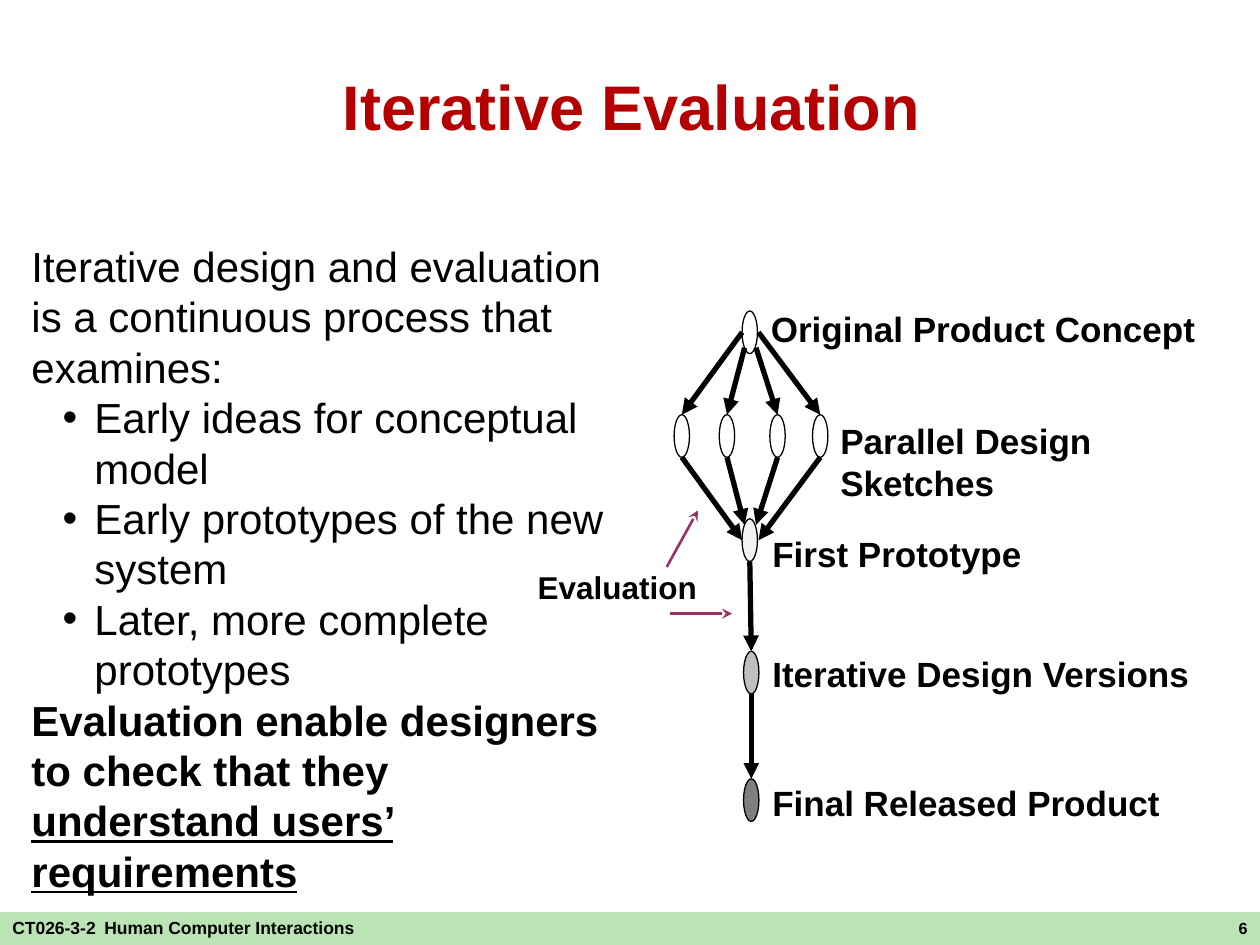
"""Build the Iterative Evaluation slide."""
from dataclasses import dataclass

import lxml.etree
import pptx
import pptx.dml.color
import pptx.enum.shapes
import pptx.enum.text
import pptx.oxml.ns
import pptx.util
from pptx.util import Cm, Pt

BLACK = "000000"
PURPLE = "993366"
NODE_WIDTH, NODE_HEIGHT = 0.31, 0.86
ALIGN = pptx.enum.text.PP_ALIGN
ANCHOR = pptx.enum.text.MSO_ANCHOR
SHAPES = pptx.enum.shapes.MSO_SHAPE


@dataclass
class Node:
    left: float
    top: float
    opacity: int = 0

    @property
    def center(self) -> float:
        return self.left + NODE_WIDTH / 2

    @property
    def bottom(self) -> float:
        return self.top + NODE_HEIGHT


@dataclass
class Label:
    text: str
    left: float
    top: float
    width: float
    height: float = 1.12
    size: float = 20
    wrap: bool = False
    align: ALIGN = ALIGN.LEFT


@dataclass
class Line:
    spans: tuple
    bullet: bool = False
    bold: bool = False


CONCEPT = Node(14.96, 6.27)
SKETCHES = [Node(left, 8.36) for left in (13.59, 14.5, 15.52, 16.38)]
VERSIONS = [Node(14.96, 10.46, 5), Node(14.99, 13.13, 25), Node(14.99, 15.7, 50)]
FAN = [(0, 0.43), (0.05, 0.74), (0.28, 0.74), (0.33, 0.43)]
LABELS = [
    Label("Original Product Concept", 15.29, 6.07, 9.07),
    Label("Parallel Design Sketches", 16.69, 8.33, 8.86),
    Label("First Prototype", 15.32, 10.62, 5.54),
    Label("Iterative Design Versions", 15.32, 13.03, 8.94),
    Label("Final Released Product", 15.32, 15.62, 8.33),
    Label("Evaluation", 10.59, 11.33, 3.71, 1.02, 18),
    Label("6", 17.35, 18.39, 8.05, 0.66, 9.2, True, ALIGN.RIGHT),
]
LINES = [
    Line(("Iterative design and evaluation is a continuous process that examines:",)),
    Line(("Early ideas for conceptual model",), bullet=True),
    Line(("Early prototypes of the new system",), bullet=True),
    Line(("Later, more complete prototypes",), bullet=True),
    Line(("Evaluation enable designers to check that they ",
          "understand users’ requirements"), bold=True),
]


def color(value: str) -> pptx.dml.color.RGBColor:
    return pptx.dml.color.RGBColor.from_string(value)


def add_element(parent, tag: str, **attributes: str):
    element = lxml.etree.SubElement(parent, pptx.oxml.ns.qn(tag))
    for name, value in attributes.items():
        element.set(name, value)
    return element


def format_span(span, size: float, bold: bool, hue: str = BLACK) -> None:
    span.font.name = "Arial"
    span.font.size = Pt(size)
    span.font.bold = bold
    span.font.color.rgb = color(hue)


def place(shape, left: float, top: float, width: float, height: float) -> None:
    shape.left, shape.top = Cm(left), Cm(top)
    shape.width, shape.height = Cm(width), Cm(height)


def draw_label(page, label: Label):
    box = page.shapes.add_textbox(
        Cm(label.left), Cm(label.top), Cm(label.width), Cm(label.height))
    box.text_frame.word_wrap = label.wrap
    box.text_frame.text = label.text
    para = box.text_frame.paragraphs[0]
    para.alignment = label.align
    format_span(para.runs[0], label.size, True)
    return para


def draw_node(page, node: Node):
    shape = page.shapes.add_shape(
        SHAPES.OVAL, Cm(node.left), Cm(node.top), Cm(NODE_WIDTH), Cm(NODE_HEIGHT))
    shape.shadow.inherit = False
    shape.line.color.rgb = color(BLACK)
    shape.line.width = Pt(0.75)
    if node.opacity:
        shape.fill.solid()
        shape.fill.fore_color.rgb = color(BLACK)
        tone = shape.fill._xPr.find(".//" + pptx.oxml.ns.qn("a:srgbClr"))
        add_element(tone, "a:alpha", val=str(node.opacity * 1000))
    else:
        shape.fill.background()
    return shape


def draw_arrow(page, start: tuple, end: tuple, hue: str = BLACK,
               width: float = 3, head: str = "triangle"):
    arrow = page.shapes.add_connector(
        pptx.enum.shapes.MSO_CONNECTOR.STRAIGHT, *map(Cm, start + end))
    arrow.line.color.rgb = color(hue)
    arrow.line.width = Pt(width)
    add_element(arrow.line._get_or_add_ln(), "a:tailEnd", type=head)
    add_element(arrow._element.spPr, "a:effectLst")
    return arrow


def draw_title(page) -> None:
    title = page.shapes.title
    place(title, 1.3, 0.53, 22.86, 3.18)
    title.text_frame.text = "Iterative Evaluation"
    title.text_frame.vertical_anchor = ANCHOR.MIDDLE
    para = title.text_frame.paragraphs[0]
    para.alignment = ALIGN.CENTER
    format_span(para.runs[0], 36, True, "B40000")


def draw_body(page) -> None:
    body = page.placeholders[1]
    place(body, 0.38, 4.72, 12.55, 13.46)
    frame = body.text_frame
    frame.auto_size = pptx.enum.text.MSO_AUTO_SIZE.NONE
    frame.vertical_anchor = ANCHOR.TOP
    frame.text = "\n".join("".join(line.spans) for line in LINES)
    for para, line in zip(frame.paragraphs, LINES):
        para.level = int(line.bullet)
        properties = para._p.get_or_add_pPr()
        properties.set("marL", str(Cm(1.27) if line.bullet else 0))
        properties.set("indent", str(Cm(-0.64) if line.bullet else 0))
        if line.bullet:
            add_element(properties, "a:buFont", typeface="Arial")
            add_element(properties, "a:buChar", char="•")
        else:
            add_element(properties, "a:buNone")
        para.space_before = Pt(0)
        para.line_spacing = Pt(28.8)
        para.runs[0].text = line.spans[0]
        for text in line.spans[1:]:
            span = para.add_run()
            span.text = text
            span.font.underline = True
        for span in para.runs:
            format_span(span, 24, line.bold)


def draw_footer(page) -> None:
    bar = page.shapes.add_shape(SHAPES.RECTANGLE, Cm(0), Cm(18.39), Cm(25.4), Cm(0.66))
    bar.shadow.inherit = False
    bar.fill.solid()
    bar.fill.fore_color.rgb = color("BAE4B4")
    bar.line.fill.background()
    para = draw_label(page, Label("CT026-3-2", 0, 18.08, 9.42, 0.71, 10, True))
    for text, size, bold in ((" ", 18, False), ("Human Computer Interactions", 10, True)):
        span = para.add_run()
        span.text = text
        format_span(span, size, bold)


def draw_process(page) -> None:
    draw_arrow(page, (13.44, 11.43), (14.07, 10.29), PURPLE, 1.5, "stealth")
    draw_arrow(page, (13.51, 12.37), (14.76, 12.37), PURPLE, 1.5, "stealth")
    draw_node(page, CONCEPT)
    first = VERSIONS[0]
    for sketch, (across, down) in zip(SKETCHES, FAN):
        shape = draw_node(page, sketch)
        start = (CONCEPT.left + across, CONCEPT.top + down)
        draw_arrow(page, start, (sketch.center, sketch.top)).end_connect(shape, 0)
        end = (first.left + across, first.bottom - down)
        draw_arrow(page, (sketch.center, sketch.bottom), end)
    shapes = [draw_node(page, version) for version in VERSIONS]
    for before, after, shape in zip(VERSIONS, VERSIONS[1:], shapes[1:]):
        arrow = draw_arrow(page, (before.center, before.bottom), (after.center, after.top))
        arrow.end_connect(shape, 0)


def main() -> None:
    deck = pptx.Presentation()
    deck.slide_width, deck.slide_height = Cm(25.4), Cm(19.05)
    page = deck.slides.add_slide(deck.slide_layouts[1])
    draw_footer(page)
    draw_title(page)
    draw_body(page)
    draw_process(page)
    for label in LABELS:
        draw_label(page, label)
    deck.save("out.pptx")


if __name__ == "__main__":
    main()
